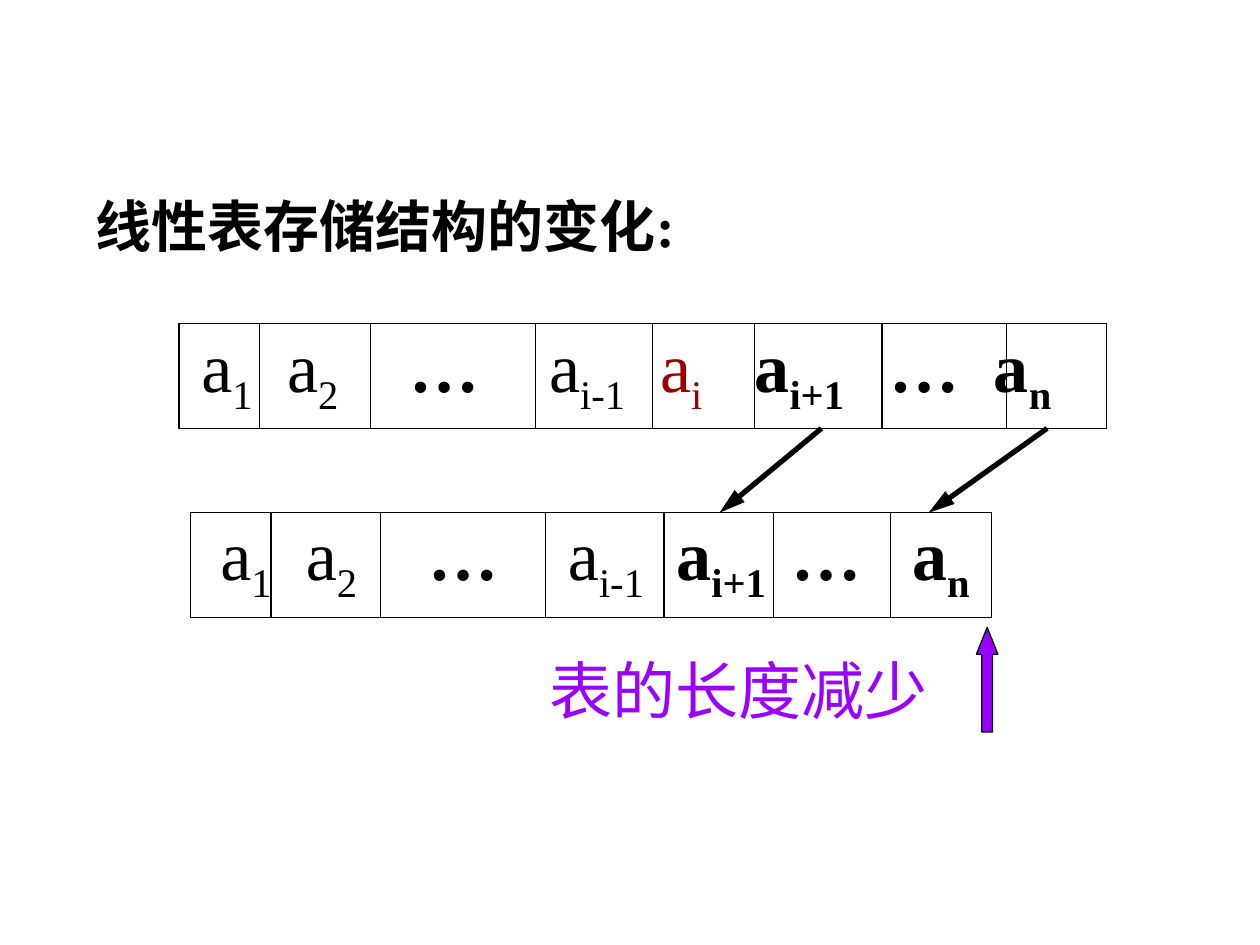
"""Builds a slide showing how a linear list's storage changes on deletion."""
from dataclasses import dataclass

from lxml.etree import SubElement
from pptx import Presentation
from pptx.dml.color import RGBColor
from pptx.enum.shapes import MSO_CONNECTOR as Connector, MSO_SHAPE as Shape
from pptx.enum.text import MSO_AUTO_SIZE as AutoSize
from pptx.oxml.ns import qn
from pptx.util import Inches, Pt


@dataclass(frozen=True)
class Theme:
    font: str = "Times New Roman"
    black: RGBColor = RGBColor(0, 0, 0)
    red: RGBColor = RGBColor(0x99, 0, 0)
    purple: RGBColor = RGBColor(0x99, 0, 0xFF)
    title: int = 32
    note: int = 36
    element: int = 40
    thin: float = 0.75
    thick: float = 3


theme = Theme()
presentation = Presentation()
presentation.slide_width, presentation.slide_height = Inches(10), Inches(7.5)
slide = presentation.slides.add_slide(presentation.slide_layouts[6])


def add_text(box, elements, size, color=theme.black, bold=False, tabs=()):
    shape = slide.shapes.add_textbox(*map(Inches, box))
    frame = shape.text_frame
    frame.word_wrap = True
    frame.auto_size = AutoSize.SHAPE_TO_FIT_TEXT
    paragraph = frame.paragraphs[0]
    if tabs:
        stops = SubElement(paragraph._p.get_or_add_pPr(), qn("a:tabLst"))
        for tab in tabs:
            SubElement(stops, qn("a:tab"), pos=str(Inches(tab)), algn="l")
    font = paragraph.font
    font.name, font.size, font.bold = theme.font, Pt(size), bold
    font.color.rgb = color
    for index, (base, subscript, style) in enumerate(elements):
        for text, offset in (("\t" * bool(index) + base, None), (subscript, "-25000")):
            if text:
                run = paragraph.add_run()
                run.text = text
                if "bold" in style:
                    run.font.bold = True
                if "red" in style:
                    run.font.color.rgb = theme.red
                if offset:
                    run.font._element.set("baseline", offset)


def add_line(start, end, width, arrow=False):
    line = slide.shapes.add_connector(Connector.STRAIGHT, *map(Inches, start + end))
    line.line.color.rgb = theme.black
    line.line.width = Pt(width)
    SubElement(line._element.spPr, qn("a:effectLst"))
    if arrow:
        SubElement(line.line._get_or_add_ln(), qn("a:tailEnd"), type="triangle", len="lg")


add_text((0.66, 1.47, 8.36, 0.64), [("线性表存储结构的变化:", "", "")], theme.title, bold=True)

cell_height = 0.83
rows = [
    (1.42, 2.57, 7.36, (2.06, 2.94, 4.25, 5.18, 5.99, 7, 7.99)),
    (1.51, 4.07, 6.36, (2.15, 3.02, 4.33, 5.27, 6.14, 7.07)),
]
for left, top, width, dividers in rows:
    frame = slide.shapes.add_shape(Shape.RECTANGLE, *map(Inches, (left, top, width, cell_height)))
    frame.shadow.inherit = False
    frame.fill.background()
    frame.line.color.rgb = theme.black
    frame.line.width = Pt(theme.thin)
    for x in dividers:
        add_line((x, top), (x, top + cell_height), theme.thin)

head = [("a", "1", ""), ("a", "2", ""), ("…", "", "bold"), ("a", "i-1", "")]
removed = ("a", "i", "red")
tail = [("a", "i+1", "bold"), ("…", "", "bold"), ("a", "n", "bold")]
tabs = (0.68, 1.65, 2.76, 3.64, 4.39, 5.46, 6.29)
add_text((1.5, 2.51, 7.28, 0.86), head + [removed] + tail, theme.element, tabs=tabs)
add_text((1.65, 4, 3.7, 0.86), head, theme.element, tabs=tabs[:3])
for element, left, width in zip(tail, (5.27, 6.18, 7.14), (0.95, 0.8, 0.75)):
    add_text((left, 4, width, 0.86), [element], theme.element)

for start_x, end_x in ((6.52, 5.71), (8.31, 7.37)):
    add_line((start_x, 3.4), (end_x, 4.07), theme.thick, arrow=True)

add_text((4.26, 5.12, 3.3, 0.7), [("表的长度减少", "", "")], theme.note, theme.purple)
marker = slide.shapes.add_shape(Shape.UP_ARROW, *map(Inches, (7.75, 4.98, 0.17, 0.83)))
marker.adjustments[0], marker.adjustments[1] = 0.5, 1.25
marker.shadow.inherit = False
marker.fill.solid()
marker.fill.fore_color.rgb = theme.purple
marker.line.color.rgb = theme.black
marker.line.width = Pt(theme.thin)

presentation.save("out.pptx")
